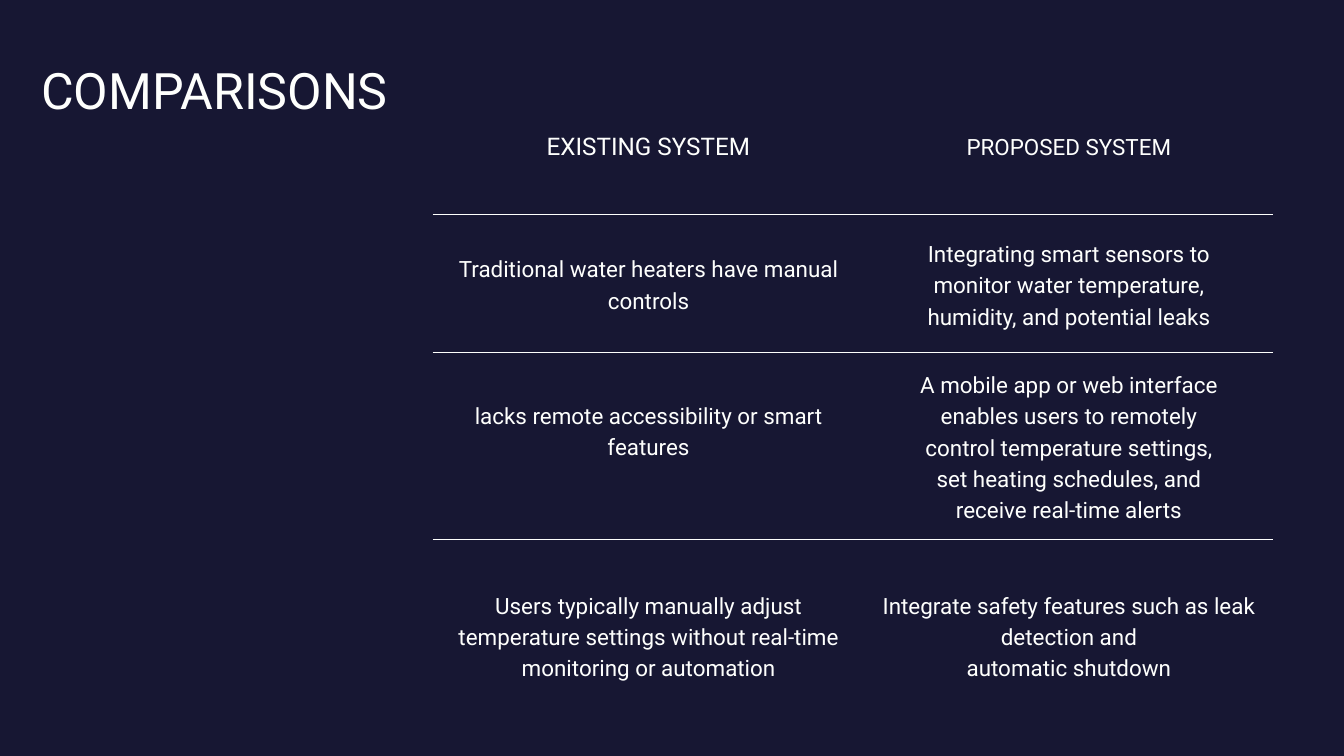
from lxml.etree import SubElement
from pptx import Presentation
from pptx.dml.color import RGBColor
from pptx.enum.text import MSO_ANCHOR, PP_ALIGN
from pptx.oxml.ns import qn
from pptx.util import Pt

PX = 9525  # EMU in one px; the slide is 1920 x 1080 px
NAVY = RGBColor(0x17, 0x17, 0x33)
WHITE = RGBColor(0xFE, 0xFF, 0xFD)
FONT = "Roboto"

TITLE = "COMPARISONS"
# Each cell is a list of paragraphs
COMPARISONS = [
    (["EXISTING SYSTEM"], ["PROPOSED SYSTEM"]),
    (["Traditional water heaters have manual", "controls"],
     ["Integrating smart sensors to", "monitor water temperature,",
      "humidity, and potential leaks"]),
    (["lacks remote accessibility or smart", "features"],
     ["A mobile app or web interface", "enables users to remotely",
      "control temperature settings,", "set heating schedules, and",
      "receive real-time alerts"]),
    (["Users typically manually adjust",
      "temperature settings without real-time", "monitoring or automation"],
     ["Integrate safety features such as leak detection and",
      "automatic shutdown"]),
]
COLUMN_WIDTHS = [617, 584]
ROW_HEIGHTS = [198, 198, 266, 275]
CELL_MARGIN = 20
TEXT_SIZE = 24
LINE_RATIO = 1.4
SIZES = {(0, 0): 26}
RAISED = {(2, 0): 45}  # extra bottom margin, one line high


def px(length):
    return length * PX


def write(frame, lines, size, spacing, align):
    frame.text = "\n".join(lines)
    for paragraph in frame.paragraphs:
        paragraph.alignment = align
        paragraph.line_spacing = Pt(spacing)
        paragraph.font.size = Pt(size)
        paragraph.font.name = FONT
        paragraph.font.color.rgb = WHITE


def set_borders(cell, colors):
    """Draw 0.75 pt borders; a side without a colour gets no line."""
    properties = cell._tc.get_or_add_tcPr()
    for side in ("L", "R", "T", "B"):
        line = SubElement(properties, qn(f"a:ln{side}"), w=str(Pt(0.75)))
        if side in colors:
            fill = SubElement(line, qn("a:solidFill"))
            SubElement(fill, qn("a:srgbClr"), val=str(colors[side]))
        else:
            SubElement(line, qn("a:noFill"))


prs = Presentation()
prs.slide_width, prs.slide_height = px(1920), px(1080)
slide = prs.slides.add_slide(prs.slide_layouts[6])
slide.background.fill.solid()
slide.background.fill.fore_color.rgb = NAVY

# Comparison table
table = slide.shapes.add_table(
    len(ROW_HEIGHTS), len(COLUMN_WIDTHS), px(618), px(108),
    px(sum(COLUMN_WIDTHS)), px(sum(ROW_HEIGHTS))).table
table.first_row = table.horz_banding = False
for column, width in zip(table.columns, COLUMN_WIDTHS):
    column.width = px(width)
for row, height in zip(table.rows, ROW_HEIGHTS):
    row.height = px(height)

last_row = len(ROW_HEIGHTS) - 1
for r, systems in enumerate(COMPARISONS):
    for c, lines in enumerate(systems):
        cell = table.cell(r, c)
        size = SIZES.get((r, c), TEXT_SIZE)
        write(cell.text_frame, lines, size, size * LINE_RATIO, PP_ALIGN.CENTER)
        cell.vertical_anchor = MSO_ANCHOR.MIDDLE
        cell.margin_left = cell.margin_right = cell.margin_top = px(CELL_MARGIN)
        cell.margin_bottom = px(CELL_MARGIN + RAISED.get((r, c), 0))
        # Inner lines only: white between rows, navy between columns
        borders = {"R" if c == 0 else "L": NAVY}
        if r > 0:
            borders["T"] = WHITE
        if r < last_row:
            borders["B"] = WHITE
        set_borders(cell, borders)
        cell.fill.solid()
        cell.fill.fore_color.rgb = NAVY

# Title
title = slide.shapes.add_textbox(px(41), px(77), px(577), px(90)).text_frame
title.word_wrap = True
title.margin_left = px(18)
title.margin_right = title.margin_top = title.margin_bottom = 0
write(title, [TITLE], 53.8, 69.9, PP_ALIGN.LEFT)

prs.save("out.pptx")
